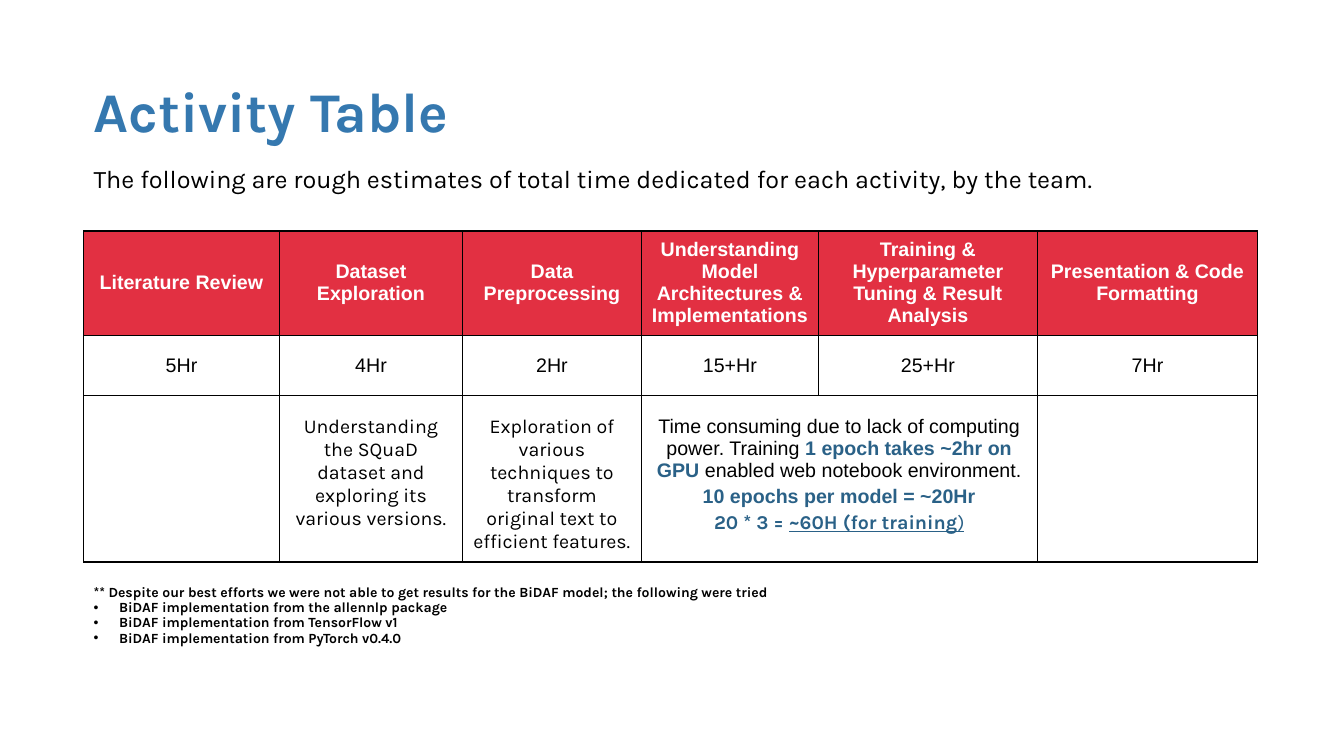
from lxml.etree import SubElement
from pptx import Presentation
from pptx.dml.color import RGBColor
from pptx.enum.text import MSO_ANCHOR as Anchor, PP_ALIGN as Align
from pptx.oxml.ns import qn
from pptx.util import Cm, Pt

BLACK = RGBColor(0x00, 0x00, 0x00)
WHITE = RGBColor(0xFF, 0xFF, 0xFF)
RED = RGBColor(0xE2, 0x30, 0x42)
TITLE_BLUE = RGBColor(0x35, 0x78, 0xAF)
ACCENT_BLUE = RGBColor(0x2A, 0x61, 0x87)

LEFT = Cm(2.11)
COLUMN_WIDTHS = [4.93, 4.62, 4.5, 4.47, 5.51, 5.56]
ROW_HEIGHTS = [2.46, 1.52, 4.09]
ACTIVITIES = [
    ("Literature Review", "5Hr"),
    ("Dataset Exploration", "4Hr"),
    ("Data Preprocessing", "2Hr"),
    ("Understanding Model Architectures & Implementations", "15+Hr"),
    ("Training & Hyperparameter Tuning & Result Analysis", "25+Hr"),
    ("Presentation & Code Formatting", "7Hr"),
]
DETAILS = {
    1: "Understanding the SQuaD dataset and exploring its various versions.",
    2: "Exploration of various techniques to transform original text to efficient features.",
}
TRAINING_NOTE = [
    [("Time consuming due to lack of computing power. Training ", "Arial", BLACK, False, False),
     ("1 epoch takes ~2hr on GPU ", "Arial", ACCENT_BLUE, True, False),
     ("enabled web notebook environment.", "Arial", BLACK, False, False)],
    [("10 epochs per model = ~20Hr", "Arial", ACCENT_BLUE, True, False)],
    [("20 * 3 = ", "Karla", ACCENT_BLUE, True, False),
     ("~60H (for training", "Karla", ACCENT_BLUE, True, True),
     (")", "Karla", ACCENT_BLUE, False, True)],
]
FOOTNOTE = [
    "** Despite our best efforts we were not able to get results for the BiDAF model; the following were tried",
    "BiDAF implementation from the allennlp package",
    "BiDAF implementation from TensorFlow v1",
    "BiDAF implementation from PyTorch v0.4.0",
]


def style_font(font, name, size, color, bold=False, underline=False):
    font.name = name
    font.size = Pt(size)
    font.color.rgb = color
    font.bold = bold
    font.underline = underline


def add_bullet(paragraph):
    properties = paragraph._p.get_or_add_pPr()
    properties.set("marL", str(Cm(0.64)))
    properties.set("indent", str(-Cm(0.64)))
    SubElement(properties, qn("a:buFont"), typeface="Arial")
    SubElement(properties, qn("a:buChar"), char="•")


def add_text(slide, top, width, height, lines, size, color, bold=False,
             spacing=1.0, anchor=Anchor.TOP):
    frame = slide.shapes.add_textbox(LEFT, Cm(top), Cm(width), Cm(height)).text_frame
    frame.word_wrap = True
    frame.vertical_anchor = anchor
    frame.text = "\n".join(lines)
    for index, paragraph in enumerate(frame.paragraphs):
        paragraph.line_spacing = spacing
        if index:
            add_bullet(paragraph)
        for run in paragraph.runs:
            style_font(run.font, "Karla", size, color, bold)


def set_borders(cell):
    properties = cell._tc.get_or_add_tcPr()
    for side in ("lnL", "lnR", "lnT", "lnB"):
        border = SubElement(properties, qn(f"a:{side}"), w=str(Pt(1)))
        fill = SubElement(border, qn("a:solidFill"))
        SubElement(fill, qn("a:srgbClr"), val=str(BLACK))


def fill_cell(cell, text, font_name, color, bold=False):
    cell.text_frame.text = text
    paragraph = cell.text_frame.paragraphs[0]
    paragraph.alignment = Align.CENTER
    for run in paragraph.runs:
        style_font(run.font, font_name, 14, color, bold)


def write_training_note(cell):
    frame = cell.text_frame
    for index, parts in enumerate(TRAINING_NOTE):
        paragraph = frame.add_paragraph() if index else frame.paragraphs[0]
        paragraph.alignment = Align.CENTER
        if index:
            paragraph.space_before = Pt(2.8)
        for text, name, color, bold, underline in parts:
            run = paragraph.add_run()
            run.text = text
            style_font(run.font, name, 14, color, bold, underline)


def add_activity_table(slide):
    table = slide.shapes.add_table(
        len(ROW_HEIGHTS), len(ACTIVITIES), LEFT, Cm(5.82),
        Cm(sum(COLUMN_WIDTHS)), Cm(sum(ROW_HEIGHTS))).table
    table.horz_banding = False
    for column, width in zip(table.columns, COLUMN_WIDTHS):
        column.width = Cm(width)
    for row, height in zip(table.rows, ROW_HEIGHTS):
        row.height = Cm(height)
    for cell in table.iter_cells():
        set_borders(cell)
        cell.fill.solid()
        cell.fill.fore_color.rgb = WHITE
    for column, (activity, hours) in enumerate(ACTIVITIES):
        heading, duration, detail = (table.cell(row, column) for row in range(3))
        heading.fill.fore_color.rgb = RED
        fill_cell(heading, activity, "Arial", WHITE, True)
        fill_cell(duration, hours, "Arial", BLACK)
        heading.vertical_anchor = duration.vertical_anchor = Anchor.MIDDLE
        detail.margin_top = Cm(0.51)
        if column in DETAILS:
            fill_cell(detail, DETAILS[column], "Karla", BLACK)
    training = table.cell(2, 3)
    training.merge(table.cell(2, 4))
    write_training_note(training)


def main():
    presentation = Presentation()
    presentation.slide_width = Cm(33.87)
    presentation.slide_height = Cm(19.05)
    slide = presentation.slides.add_slide(presentation.slide_layouts[6])
    add_text(slide, 1.98, 29.41, 1.8, ["Activity Table"], 40, TITLE_BLUE, True,
             0.9, Anchor.MIDDLE)
    add_text(slide, 3.99, 29.64, 2.08,
             ["The following are rough estimates of total time dedicated for each activity, by the team."],
             18, BLACK)
    add_activity_table(slide)
    add_text(slide, 14.63, 25.58, 1.8, FOOTNOTE, 10, BLACK, True, 0.9)
    presentation.save("out.pptx")


if __name__ == "__main__":
    main()
